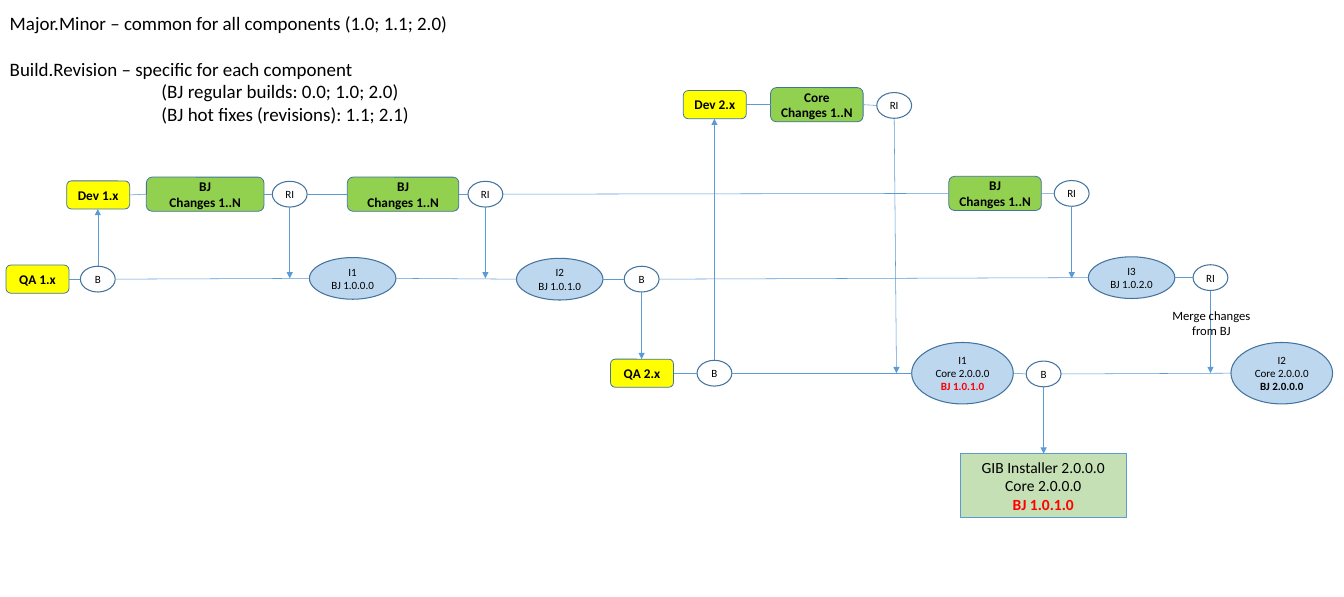
from lxml.etree import SubElement
from pptx import Presentation
from pptx.dml.color import RGBColor
from pptx.enum.shapes import MSO_CONNECTOR, MSO_SHAPE as SHAPE
from pptx.enum.text import MSO_ANCHOR, PP_ALIGN
from pptx.oxml.ns import qn
from pptx.util import Inches, Pt

BLACK = RGBColor(0x00, 0x00, 0x00)
RED = RGBColor(0xFF, 0x00, 0x00)
YELLOW = RGBColor(0xFF, 0xFF, 0x00)
GREEN = RGBColor(0x92, 0xD0, 0x50)
PALE_GREEN = RGBColor(0xC5, 0xE0, 0xB4)
PALE_BLUE = RGBColor(0xBD, 0xD7, 0xEE)
OUTLINE = RGBColor(0x43, 0x73, 0x9E)
LINK = RGBColor(0x5B, 0x9B, 0xD5)


class BranchDiagram:
    font = "Calibri"

    def __init__(self, slide):
        self.slide = slide

    def set_text(self, sp, text, size, bold=False, align=PP_ALIGN.CENTER):
        tf = sp.text_frame
        tf.text = text
        for p in tf.paragraphs:
            p.alignment = align
            for r in p.runs:
                r.font.name = self.font
                r.font.size = Pt(size)
                r.font.bold = bold
                r.font.color.rgb = BLACK
        return tf

    def box(self, kind, x, cy, w, h, text, size, fill=None, line=OUTLINE,
            weight=0.75, bold=False):
        sp = self.slide.shapes.add_shape(
            kind, Inches(x), Inches(cy - h / 2), Inches(w), Inches(h))
        sp.shadow.inherit = False
        if fill is None:
            sp.fill.background()
        else:
            sp.fill.solid()
            sp.fill.fore_color.rgb = fill
        sp.line.color.rgb = line
        sp.line.width = Pt(weight)
        tf = self.set_text(sp, text, size, bold)
        tf.word_wrap = False
        tf.vertical_anchor = MSO_ANCHOR.MIDDLE
        return sp

    def branch(self, x, cy, text):
        return self.box(SHAPE.ROUNDED_RECTANGLE, x, cy, 0.83, 0.37, text, 12.6,
                        YELLOW, bold=True)

    def changes(self, x, cy, part, w=1.22):
        return self.box(SHAPE.ROUNDED_RECTANGLE, x, cy, w, 0.45,
                        f"{part}\nChanges 1..N", 12.6, GREEN, bold=True)

    def node(self, x, cy, text):
        return self.box(SHAPE.OVAL, x, cy, 0.46, 0.34, text, 10.5, weight=1)

    def build(self, x, cy, text, w=1.14, h=0.55):
        return self.box(SHAPE.OVAL, x, cy, w, h, text, 10.5, PALE_BLUE, weight=1)

    def release(self, x, cy, text, color=BLACK):
        sp = self.build(x, cy, text, 1.34, 0.81)
        self.stress_last(sp, color)
        return sp

    def stress_last(self, sp, color):
        font = sp.text_frame.paragraphs[-1].runs[0].font
        font.bold = True
        font.color.rgb = color

    def line(self, x1, y1, x2, y2, arrow=False):
        cxn = self.slide.shapes.add_connector(
            MSO_CONNECTOR.STRAIGHT, int(x1), int(y1), int(x2), int(y2))
        cxn.line.color.rgb = LINK
        cxn.line.width = Pt(0.5)
        sp_pr = cxn._element.spPr
        if arrow:
            SubElement(sp_pr.find(qn("a:ln")), qn("a:tailEnd"), type="triangle")
        SubElement(sp_pr, qn("a:effectLst"))

    def chain(self, *steps):
        for a, b in zip(steps, steps[1:]):
            self.line(a.left + a.width, a.top + a.height / 2,
                      b.left, b.top + b.height / 2)

    def arrow_down(self, sp, y, shift=0):
        x = sp.left + sp.width / 2
        self.line(x, sp.top + sp.height, x + Inches(shift), y, True)

    def arrow_up(self, sp, target):
        x = sp.left + sp.width / 2
        self.line(x, sp.top, x, target.top + target.height, True)

    def note(self, x, y, w, h, text, size, wrap=True):
        sp = self.slide.shapes.add_textbox(
            Inches(x), Inches(y), Inches(w), Inches(h))
        tf = self.set_text(sp, text, size, align=PP_ALIGN.LEFT)
        tf.word_wrap = wrap
        return tf


def main():
    prs = Presentation()
    prs.slide_width, prs.slide_height = Inches(17.72), Inches(7.87)
    d = BranchDiagram(prs.slides.add_slide(prs.slide_layouts[6]))

    dev1 = d.branch(0.88, 2.57, "Dev 1.x")
    dev1_ri1 = d.node(3.59, 2.56, "RI")
    dev1_ri2 = d.node(6.17, 2.56, "RI")
    dev1_ri3 = d.node(13.9, 2.55, "RI")
    d.chain(dev1, d.changes(1.93, 2.56, "BJ", 1.55), dev1_ri1,
            d.changes(4.58, 2.56, "BJ", 1.47), dev1_ri2,
            d.changes(12.51, 2.55, "BJ"), dev1_ri3)

    qa1_b1 = d.node(1.06, 3.68, "B")
    qa1_b2 = d.node(8.23, 3.68, "B")
    qa1_ri = d.node(15.73, 3.66, "RI")
    d.chain(d.branch(0.08, 3.68, "QA 1.x"), qa1_b1,
            d.build(4.08, 3.67, "I1\nBJ 1.0.0.0"),
            d.build(6.81, 3.68, "I2\nBJ 1.0.1.0"), qa1_b2,
            d.build(14.35, 3.66, "I3\nBJ 1.0.2.0"), qa1_ri)

    dev2 = d.branch(9.01, 1.38, "Dev 2.x")
    dev2_ri = d.node(11.56, 1.39, "RI")
    d.chain(dev2, d.changes(10.16, 1.38, "Core"), dev2_ri)

    qa2 = d.branch(8.05, 4.92, "QA 2.x")
    qa2_b1 = d.node(9.19, 4.92, "B")
    qa2_b2 = d.node(13.53, 4.93, "B")
    d.chain(qa2, qa2_b1,
            d.release(12.02, 4.92, "I1\nCore 2.0.0.0\nBJ 1.0.1.0", RED), qa2_b2,
            d.release(16.23, 4.92, "I2\nCore 2.0.0.0\nBJ 2.0.0.0"))

    installer = d.box(SHAPE.RECTANGLE, 12.66, 6.4, 2.19, 0.84,
                      "GIB Installer 2.0.0.0\nCore 2.0.0.0\nBJ 1.0.1.0", 14.7,
                      PALE_GREEN, LINK)
    d.stress_last(installer, RED)

    d.arrow_up(qa1_b1, dev1)
    d.arrow_up(qa2_b1, dev2)
    for ri in (dev1_ri1, dev1_ri2, dev1_ri3):
        d.arrow_down(ri, Inches(3.67))
    d.arrow_down(qa1_b2, qa2.top)
    d.arrow_down(qa1_ri, Inches(4.92))
    d.arrow_down(dev2_ri, Inches(4.92), 0.03)
    d.arrow_down(qa2_b2, installer.top)

    merge = d.note(15.36, 4.01, 1.33, 0.5, "Merge changes\nfrom BJ", 12, wrap=False)
    merge.paragraphs[1].alignment = PP_ALIGN.CENTER

    scheme = d.note(0.03, 0.1, 7.28, 1.62,
                    "Major.Minor – common for all components (1.0; 1.1; 2.0)\n"
                    "Build.Revision – specific for each component\n"
                    "(BJ regular builds: 0.0; 1.0; 2.0)\n"
                    "(BJ hot fixes (revisions): 1.1; 2.1)", 18)
    scheme.paragraphs[1].space_before = Pt(22)
    for p in scheme.paragraphs[2:]:
        p._p.get_or_add_pPr().set("marL", str(Inches(2)))

    prs.save("out.pptx")


if __name__ == "__main__":
    main()
